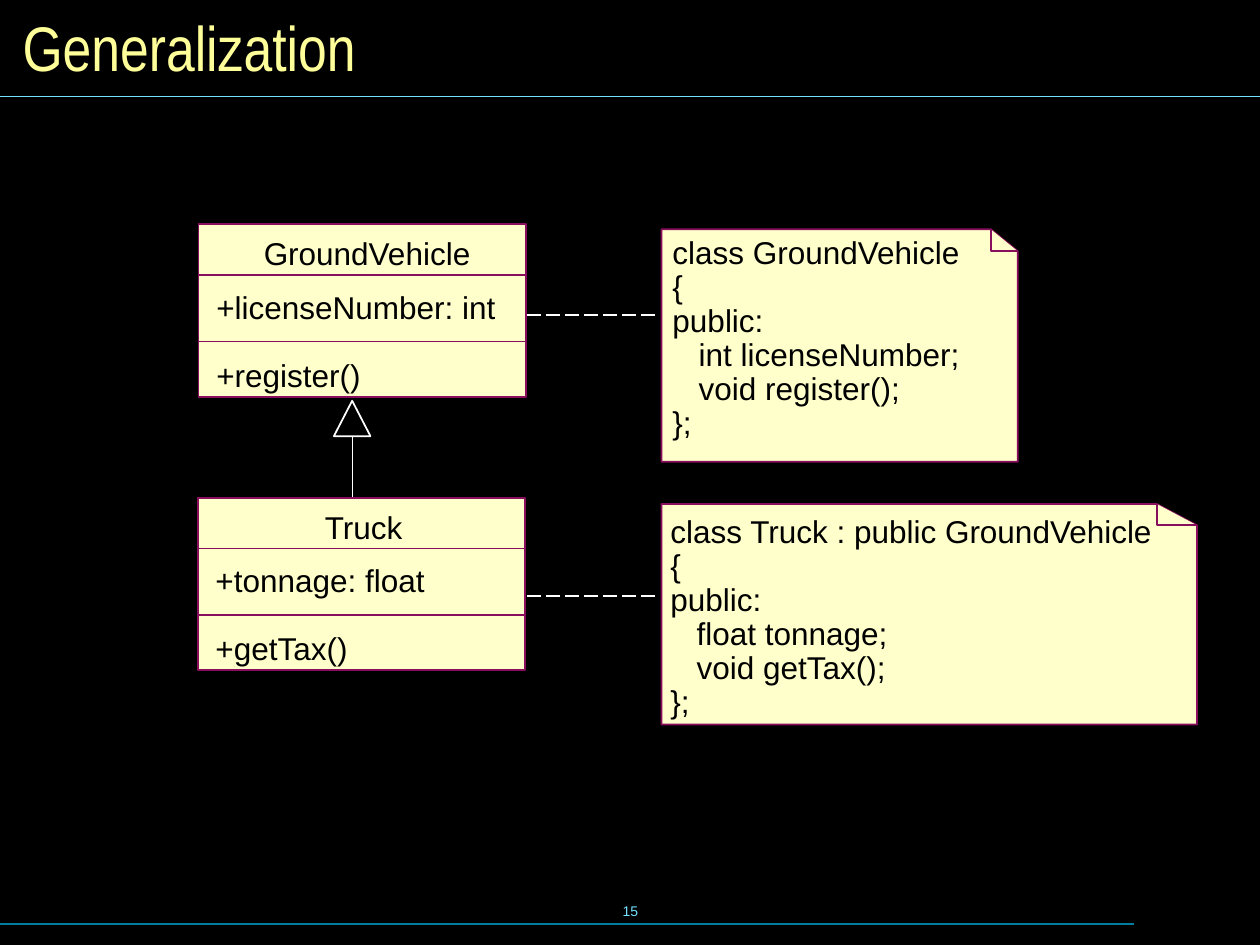
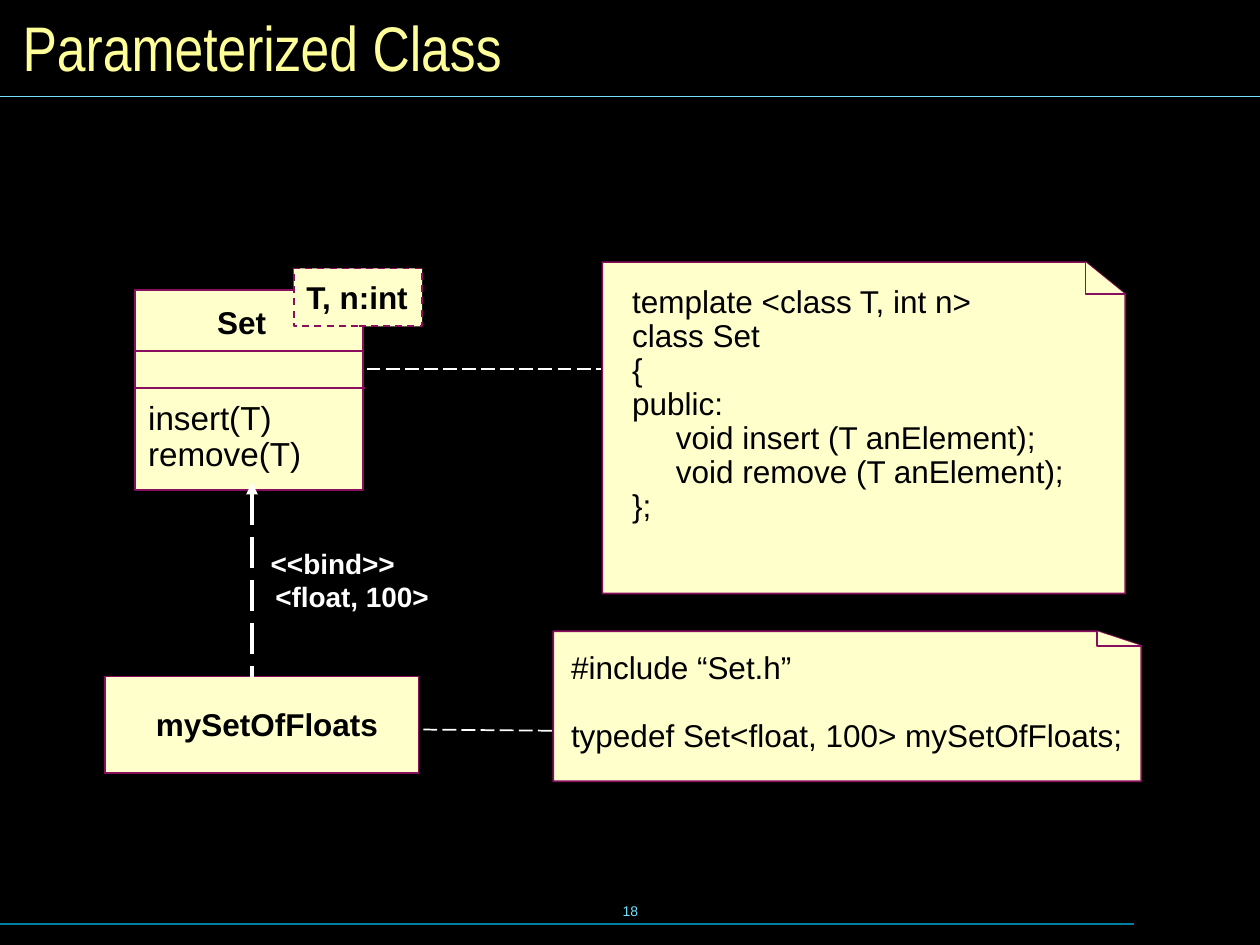
"""Build two slides of UML class diagrams with their matching C++ code notes."""
from dataclasses import dataclass

from lxml import etree
from pptx import Presentation
from pptx.dml.color import RGBColor
from pptx.enum.dml import MSO_LINE
from pptx.enum.shapes import MSO_CONNECTOR, MSO_SHAPE
from pptx.enum.text import MSO_ANCHOR, PP_ALIGN
from pptx.oxml.ns import qn
from pptx.util import Pt

STRAIGHT = MSO_CONNECTOR.STRAIGHT
RECTANGLE, TRIANGLE = MSO_SHAPE.RECTANGLE, MSO_SHAPE.ISOSCELES_TRIANGLE
DASH, LONG_DASH = MSO_LINE.DASH, MSO_LINE.LONG_DASH
LEFT, CENTER = PP_ALIGN.LEFT, PP_ALIGN.CENTER
TOP, MIDDLE = MSO_ANCHOR.TOP, MSO_ANCHOR.MIDDLE


@dataclass(frozen=True)
class Theme:
    background: RGBColor = RGBColor(0, 0, 0)
    title: RGBColor = RGBColor(0xFF, 0xFF, 0x99)
    rule: RGBColor = RGBColor(0x73, 0xE1, 0xFF)
    footer_rule: RGBColor = RGBColor(0x00, 0x7E, 0x9F)
    paper: RGBColor = RGBColor(0xFF, 0xFF, 0xCC)
    outline: RGBColor = RGBColor(0x8A, 0x0E, 0x5E)
    ink: RGBColor = RGBColor(0, 0, 0)
    white: RGBColor = RGBColor(0xFF, 0xFF, 0xFF)
    body_font: str = "Arial"
    title_font: str = "Arial Narrow"
    title_size: int = 36
    method_size: int = 19
    body_size: int = 18
    label_size: int = 16
    number_size: int = 8
    body_spacing: float = 0.9
    blank_line: float = 19.4


THEME = Theme()


def write_text(page, text, left, top, width, height, size=THEME.body_size,
               color=THEME.ink, font=THEME.body_font, bold=False, align=LEFT,
               anchor=TOP, spacing=THEME.body_spacing, gap=0):
    box = page.shapes.add_textbox(Pt(left), Pt(top), Pt(width), Pt(height))
    frame = box.text_frame
    frame.word_wrap = True
    frame.vertical_anchor = anchor
    for index, line in enumerate(text.split("\n")):
        para = frame.paragraphs[0] if index == 0 else frame.add_paragraph()
        para.alignment = align
        para.line_spacing = spacing
        if index and gap:
            para.space_before = Pt(gap)
        span = para.add_run()
        span.text = line
        span.font.size = Pt(size)
        span.font.name = font
        span.font.bold = bold
        span.font.color.rgb = color


def draw_line(page, x1, y1, x2, y2, color=THEME.outline, width=1, dash=None, arrow=False):
    line = page.shapes.add_connector(STRAIGHT, Pt(x1), Pt(y1), Pt(x2), Pt(y2))
    line.line.color.rgb = color
    line.line.width = Pt(width)
    if dash:
        line.line.dash_style = dash
    properties = line._element.spPr
    if arrow:
        etree.SubElement(properties.find(qn("a:ln")), qn("a:headEnd"), type="triangle")
    etree.SubElement(properties, qn("a:effectLst"))


vehicle_code = """class GroundVehicle
{
public:
   int licenseNumber;
   void register();
};"""
truck_code = """class Truck : public GroundVehicle
{
public:
   float tonnage;
   void getTax();
};"""
set_code = """template <class T, int n>
class Set
{
public:
     void insert (T anElement);
     void remove (T anElement);
};"""
typedef_code = "#include “Set.h”\ntypedef Set<float, 100> mySetOfFloats;"

deck = Presentation()
deck.slide_width, deck.slide_height = Pt(720), Pt(540)
blank_layout = deck.slide_layouts[6]
pages = []

diagrams = [
    {
        "title": "Generalization",
        "number": "15",
        "boxes": [(113.5, 128.2, 187.2, 98.6, None), (113, 284.4, 187.2, 98.6, None)],
        "notes": [(378, 288, 306, 126, 23, 12.2), (378, 131, 203.6, 132.8, 15.5, 12.6)],
        "links": [(301, 180, 377.3, 180), (301, 340.5, 376.6, 340.5)],
    },
    {
        "title": "Parameterized Class",
        "number": "18",
        "boxes": [(77, 165.6, 130.3, 114.5, None), (167.8, 153.4, 73.4, 33.1, DASH),
                  (59.8, 386.6, 179.3, 55.4, None)],
        "notes": [(344.2, 149.8, 298.8, 189.4, 22.7, 18.4), (316.1, 360.7, 336, 85.7, 25.2, 8.3)],
        "links": [(209.5, 211, 343.4, 211), (241.9, 416.9, 319.7, 417.6)],
    },
]

for diagram in diagrams:
    page = deck.slides.add_slide(blank_layout)
    pages.append(page)
    page.background.fill.solid()
    page.background.fill.fore_color.rgb = THEME.background
    write_text(page, diagram["number"], 246.2, 502.6, 228, 36, size=THEME.number_size,
               color=THEME.rule, align=CENTER, anchor=MIDDLE, spacing=1.0)
    draw_line(page, 0, 528, 648, 528, color=THEME.footer_rule, width=0.75)
    draw_line(page, 0, 55, 720, 55, color=THEME.rule, width=0.75)
    write_text(page, diagram["title"], 5.8, 5.8, 708.5, 41.8, size=THEME.title_size,
               color=THEME.title, font=THEME.title_font, anchor=MIDDLE, spacing=1.0)

    papers = []
    for left, top, width, height, dash in diagram["boxes"]:
        box = page.shapes.add_shape(RECTANGLE, Pt(left), Pt(top), Pt(width), Pt(height))
        if dash:
            box.line.dash_style = dash
        papers.append(box)
    for left, top, width, height, fold_width, fold_height in diagram["notes"]:
        right, bottom = left + width, top + height
        fold_x, fold_y = right - fold_width, top + fold_height
        sheet = [(right, bottom), (left, bottom), (left, top), (fold_x, top), (right, fold_y)]
        fold = [(right, fold_y), (fold_x, fold_y), (fold_x, top)]
        for points, closed in ((sheet, True), (fold, False)):
            corners = [(Pt(x), Pt(y)) for x, y in points]
            builder = page.shapes.build_freeform(*corners[0])
            builder.add_line_segments(corners[1:], close=closed)
            papers.append(builder.convert_to_shape())
    for paper in papers:
        paper.shadow.inherit = False
        paper.fill.solid()
        paper.fill.fore_color.rgb = THEME.paper
        paper.line.color.rgb = THEME.outline
        paper.line.width = Pt(1)
    for link in diagram["links"]:
        draw_line(page, *link, color=THEME.white, dash=LONG_DASH)

generalization, parameterized = pages

class_texts = [
    ("GroundVehicle", "+licenseNumber: int\n+register()", 209.8),
    ("Truck", "+tonnage: float\n+getTax()", 207.8),
]
for (left, top, width, *_), (name, members, center) in zip(diagrams[0]["boxes"], class_texts):
    for offset in (29, 67):
        draw_line(generalization, left, top + offset, left + width, top + offset)
    write_text(generalization, name, center - 80, top + 4.7, 160, 26, align=CENTER)
    write_text(generalization, members, left + 3, top + 35.3, 184, 65, gap=THEME.blank_line)
write_text(generalization, vehicle_code, 377.2, 131.8, 200, 124)
write_text(generalization, truck_code, 376, 291.6, 306, 124)

triangle = generalization.shapes.add_shape(TRIANGLE, Pt(190.8), Pt(229), Pt(20.9), Pt(20.2))
triangle.shadow.inherit = False
triangle.fill.background()
triangle.line.color.rgb = THEME.white
triangle.line.width = Pt(1)
draw_line(generalization, 201.4, 249.5, 201.4, 284, color=THEME.white)

for left, y in ((76.5, 200.8), (78, 221.8)):
    draw_line(parameterized, left, y, left + 130.3, y)
for name, left, top, width in (("Set", 117, 172, 60), ("T, n:int", 168, 157.7, 90),
                               ("mySetOfFloats", 82, 401.8, 155)):
    write_text(parameterized, name, left, top, width, 26, bold=True)
write_text(parameterized, "insert(T)\nremove(T)", 77.6, 226, 125, 48, size=THEME.method_size)
write_text(parameterized, set_code, 354.2, 159.8, 277, 143)
write_text(parameterized, typedef_code, 319.2, 369.4, 345, 65, gap=THEME.blank_line)
draw_line(parameterized, 144, 275.8, 144, 387.4, color=THEME.white, width=2.25,
          dash=LONG_DASH, arrow=True)
for label, left, top in (("<<bind>>", 147.6, 311), ("<float, 100>", 150.2, 330)):
    write_text(parameterized, label, left, top, 120, 24, size=THEME.label_size,
               color=THEME.white, bold=True)

deck.save("out.pptx")
